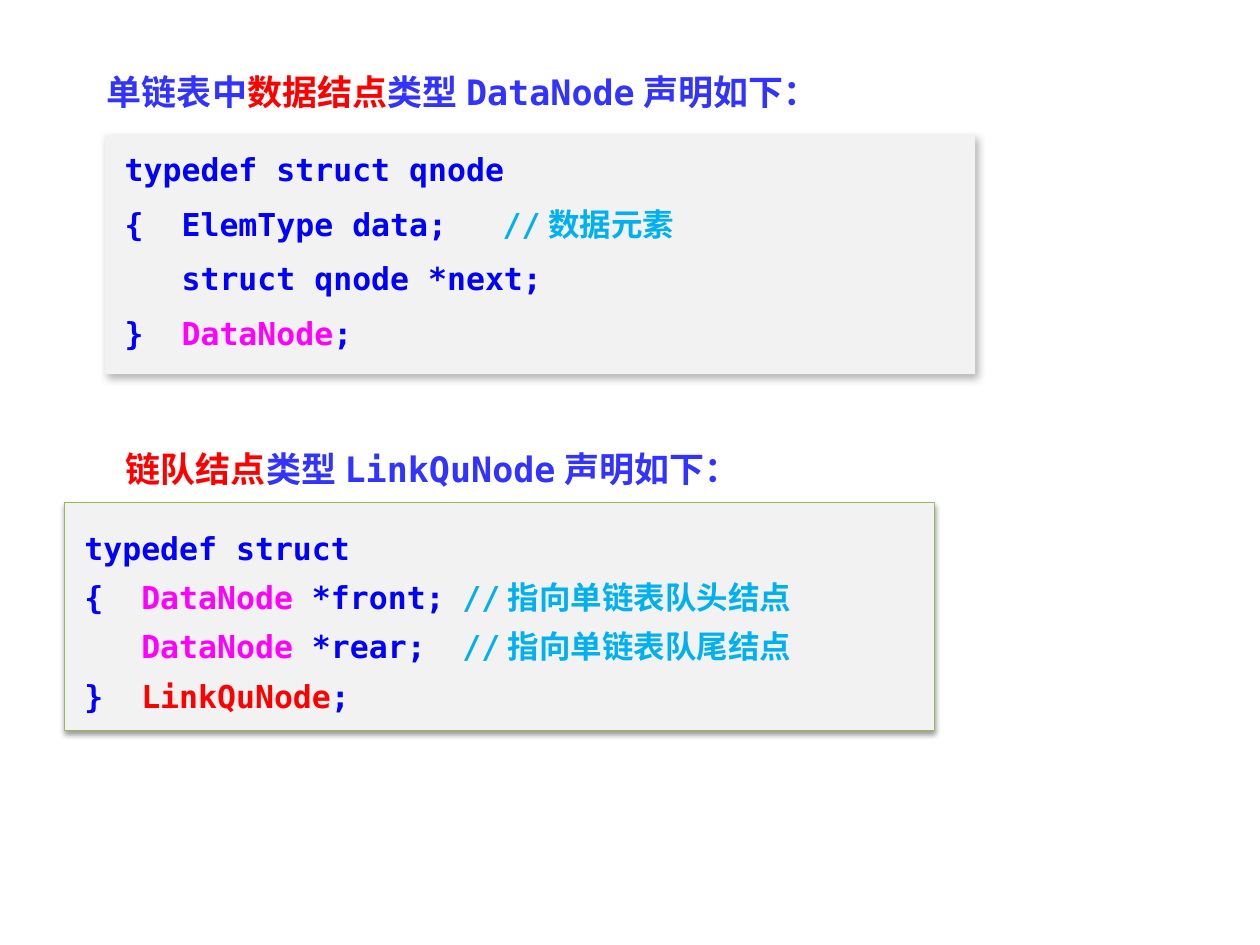
"""Build a slide that declares the node types of a linked queue."""
from dataclasses import dataclass
from typing import Optional

from lxml.etree import SubElement
from pptx import Presentation
from pptx.dml.color import RGBColor
from pptx.enum.shapes import MSO_SHAPE
from pptx.enum.text import MSO_ANCHOR, MSO_AUTO_SIZE, PP_ALIGN
from pptx.oxml.ns import qn
from pptx.util import Inches, Pt

FONT = "DejaVu Sans Mono"
BLUE, VIOLET, CYAN = "0000FF", "3333FF", "00B0F0"
PINK, RED, GRAY, GREEN = "FF00FF", "FF0000", "F2F2F2", "98B955"
Line = list[tuple[str, str]]


@dataclass
class Shade:
    """Shadow opacity in percent, blur and distance in points, angle in degrees."""
    alpha: int
    blur: float
    dist: float
    angle: int


@dataclass
class Title:
    """A heading above a code panel."""
    left: float
    top: float
    width: float
    line: Line
    align: PP_ALIGN


@dataclass
class Panel:
    """A shaded box of code."""
    left: float
    top: float
    height: float
    shade: Shade
    lines: list[Line]
    align: PP_ALIGN
    gap: float = 0
    pitch: float = 1.0
    edge: Optional[str] = None


TITLES = [
    Title(0.75, 0.51, 6.85, [("单链表中", VIOLET), ("数据结点", RED),
                             ("类型DataNode声明如下：", VIOLET)], PP_ALIGN.JUSTIFY),
    Title(0.9, 3.5, 6.54, [("链队结点", RED), ("类型LinkQuNode声明如下：", VIOLET)],
          PP_ALIGN.LEFT),
]
PANELS = [
    Panel(0.83, 1.07, 1.9, Shade(30, 4.5, 2.6, 53), [
        [("typedef struct qnode", BLUE)],
        [("{  ElemType data;\t", BLUE), ("//数据元素", CYAN)],
        [("   struct qnode *next;", BLUE)],
        [("}  ", BLUE), ("DataNode", PINK), (";", BLUE)],
    ], PP_ALIGN.JUSTIFY, gap=9.6),
    Panel(0.51, 3.99, 1.81, Shade(38, 3.1, 1.6, 90), [
        [("typedef struct", BLUE)],
        [("{  ", BLUE), ("DataNode", PINK), (" *front;\t", BLUE),
         ("//指向单链表队头结点", CYAN)],
        [("   ", BLUE), ("DataNode", PINK), (" *rear; \t", BLUE),
         ("//指向单链表队尾结点", CYAN)],
        [("}  ", BLUE), ("LinkQuNode", RED), (";", BLUE)],
    ], PP_ALIGN.LEFT, pitch=1.3, edge=GREEN),
]


def paint(color, code: str) -> None:
    """Set a colour from a hex string."""
    color.rgb = RGBColor.from_string(code)


def write(para, line: Line, size: int, align: PP_ALIGN) -> None:
    """Fill a paragraph with coloured runs."""
    para.alignment = align
    for text, code in line:
        run = para.add_run()
        run.text = text
        run.font.name, run.font.size, run.font.bold = FONT, Pt(size), True
        paint(run.font.color, code)


def cast(shape, shade: Shade) -> None:
    """Give a shape an outer shadow."""
    shape.shadow.inherit = False
    effect = shape._element.spPr.find(qn("a:effectLst"))
    outer = SubElement(effect, qn("a:outerShdw"), blurRad=str(Pt(shade.blur)),
                       dist=str(Pt(shade.dist)), dir=str(shade.angle * 60000),
                       algn="tl", rotWithShape="0")
    color = SubElement(outer, qn("a:srgbClr"), val="000000")
    SubElement(color, qn("a:alpha"), val=str(shade.alpha * 1000))


def fit(frame) -> None:
    """Wrap the text and let the shape grow with it."""
    frame.word_wrap = True
    frame.auto_size = MSO_AUTO_SIZE.SHAPE_TO_FIT_TEXT
    frame.vertical_anchor = MSO_ANCHOR.TOP


def draw_title(slide, title: Title) -> None:
    """Draw one heading."""
    box = slide.shapes.add_textbox(Inches(title.left), Inches(title.top),
                                   Inches(title.width), Inches(0.44))
    fit(box.text_frame)
    write(box.text_frame.paragraphs[0], title.line, 20, title.align)


def draw_panel(slide, panel: Panel) -> None:
    """Draw one code panel."""
    box = slide.shapes.add_shape(MSO_SHAPE.RECTANGLE, Inches(panel.left),
                                 Inches(panel.top), Inches(6.91), Inches(panel.height))
    box.fill.solid()
    paint(box.fill.fore_color, GRAY)
    if panel.edge:
        paint(box.line.color, panel.edge)
        box.line.width = Pt(0.75)
    else:
        box.line.fill.background()
    cast(box, panel.shade)
    frame = box.text_frame
    fit(frame)
    frame.margin_left = frame.margin_right = Inches(0.16)
    frame.margin_top = frame.margin_bottom = Inches(0.12)
    for index, line in enumerate(panel.lines):
        para = frame.add_paragraph() if index else frame.paragraphs[0]
        para.line_spacing = panel.pitch
        if index and panel.gap:
            para.space_before = Pt(panel.gap)
        write(para, line, 18, panel.align)


def main() -> None:
    """Build and save the slide."""
    deck = Presentation()
    deck.slide_width, deck.slide_height = Inches(10), Inches(7.5)
    slide = deck.slides.add_slide(deck.slide_layouts[6])
    for panel in PANELS:
        draw_panel(slide, panel)
    for title in TITLES:
        draw_title(slide, title)
    deck.save("out.pptx")


if __name__ == "__main__":
    main()
